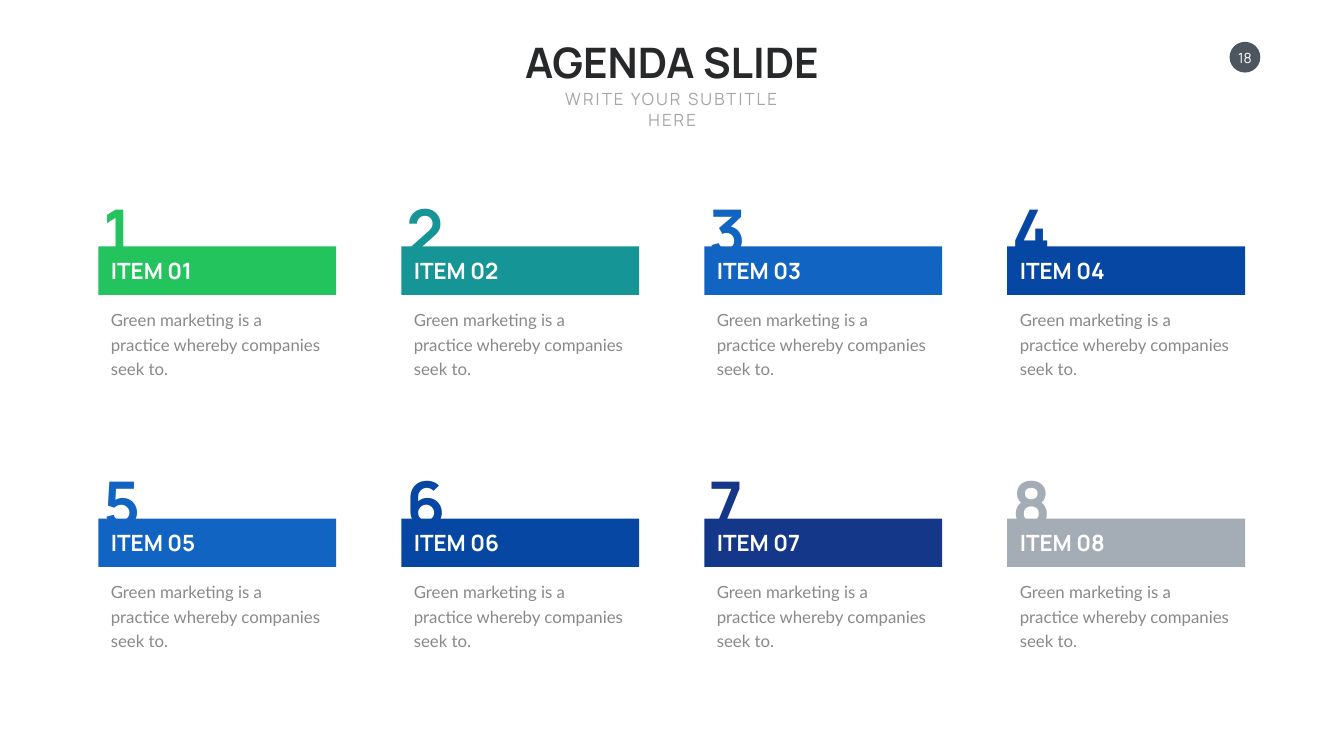
import pptx
import pptx.util
import pptx.dml.color
import pptx.enum.shapes
import pptx.enum.text

PX = pptx.util.Inches(1) // 100  # one px is a hundredth of an inch
SHAPE = pptx.enum.shapes.MSO_SHAPE
ALIGN = pptx.enum.text.PP_ALIGN
ANCHOR = pptx.enum.text.MSO_ANCHOR

TITLE = {"size": 60, "name": "Manrope", "bold": True, "color": "272829"}
SUBTITLE = {"size": 24, "name": "Manrope", "color": "A6A6A6"}
PAGE_NUMBER = {"size": 20, "name": "Manrope", "color": "FFFFFF"}
LABEL = {"size": 32, "name": "Manrope", "bold": True, "color": "FFFFFF"}
BODY = {"size": 24, "name": "Lato", "color": "898989"}
DIGIT = {"size": 90, "name": "Manrope", "bold": True}

BODY_TEXT = "Green marketing is a practice whereby companies seek to."
# Bar colour and digit box width of each item, row by row
ITEMS = [
    ("23C35E", 68), ("159596", 92), ("1264C3", 97), ("0547A3", 106),
    ("1264C3", 102), ("0547A3", 101), ("153789", 88), ("A4ACB5", 102),
]
COLUMNS = 4


def rgb(code):
    return pptx.dml.color.RGBColor.from_string(code)


def emu(*lengths):
    return [length * PX for length in lengths]


def add_block(page, kind, box, color):
    block = page.shapes.add_shape(kind, *emu(*box))
    block.shadow.inherit = False
    block.fill.solid()
    block.fill.fore_color.rgb = rgb(color)
    block.line.fill.background()


def add_text(page, box, text, style, align=ALIGN.LEFT, anchor=ANCHOR.TOP, inset=None):
    frame = page.shapes.add_textbox(*emu(*box)).text_frame
    frame.word_wrap = True
    frame.vertical_anchor = anchor
    if inset is not None:
        for side in ("left", "top", "right", "bottom"):
            setattr(frame, f"margin_{side}", inset * PX)
    para = frame.paragraphs[0]
    para.alignment = align
    span = para.add_run()
    span.text = text
    for key, value in style.items():
        if key == "color":
            span.font.color.rgb = rgb(value)
        elif key == "size":
            span.font.size = pptx.util.Pt(value)
        else:
            setattr(span.font, key, value)
    return para


def add_header(page, left, top):
    add_text(page, (left, top, 620, 111), "AGENDA SLIDE", TITLE, ALIGN.CENTER)
    para = add_text(page, (left + 39, top + 105, 543, 50),
                    "WRITE YOUR SUBTITLE HERE", SUBTITLE, ALIGN.CENTER)
    # Letter spacing of 3 pt
    para.runs[0].font._element.set("spc", "300")


def add_page_badge(page, left, top):
    add_block(page, SHAPE.OVAL, (left, top, 61, 61), "4D565F")
    add_text(page, (left + 10, top + 14, 41, 34), "18", PAGE_NUMBER,
             ALIGN.CENTER, ANCHOR.MIDDLE, inset=0)


def add_item(page, left, top, number, color, digit_width):
    # Bar with its label
    add_block(page, SHAPE.RECTANGLE, (left, top + 114, 472, 96), color)
    add_text(page, (left + 15, top + 129, 200, 64), f"ITEM {number:02}", LABEL,
             anchor=ANCHOR.BOTTOM)
    # Description below the bar
    para = add_text(page, (left + 15, top + 226, 442, 103), BODY_TEXT, BODY)
    para.line_spacing = pptx.util.Pt(35)
    # Large digit rising from the bar
    add_text(page, (left, top, digit_width, 162), str(number),
             {**DIGIT, "color": color}, anchor=ANCHOR.MIDDLE)


def add_agenda(page, left, top, column_step, row_step):
    for index, (color, digit_width) in enumerate(ITEMS):
        row, column = divmod(index, COLUMNS)
        add_item(page, left + column * column_step, top + row * row_step,
                 index + 1, color, digit_width)


def main():
    deck = pptx.Presentation()
    deck.slide_width, deck.slide_height = emu(2666, 1500)
    page = deck.slides.add_slide(deck.slide_layouts[6])
    add_page_badge(page, 2439, 83)
    add_header(page, 1023, 67)
    add_agenda(page, 195, 375, column_step=601, row_step=540)
    deck.save("out.pptx")


if __name__ == "__main__":
    main()
